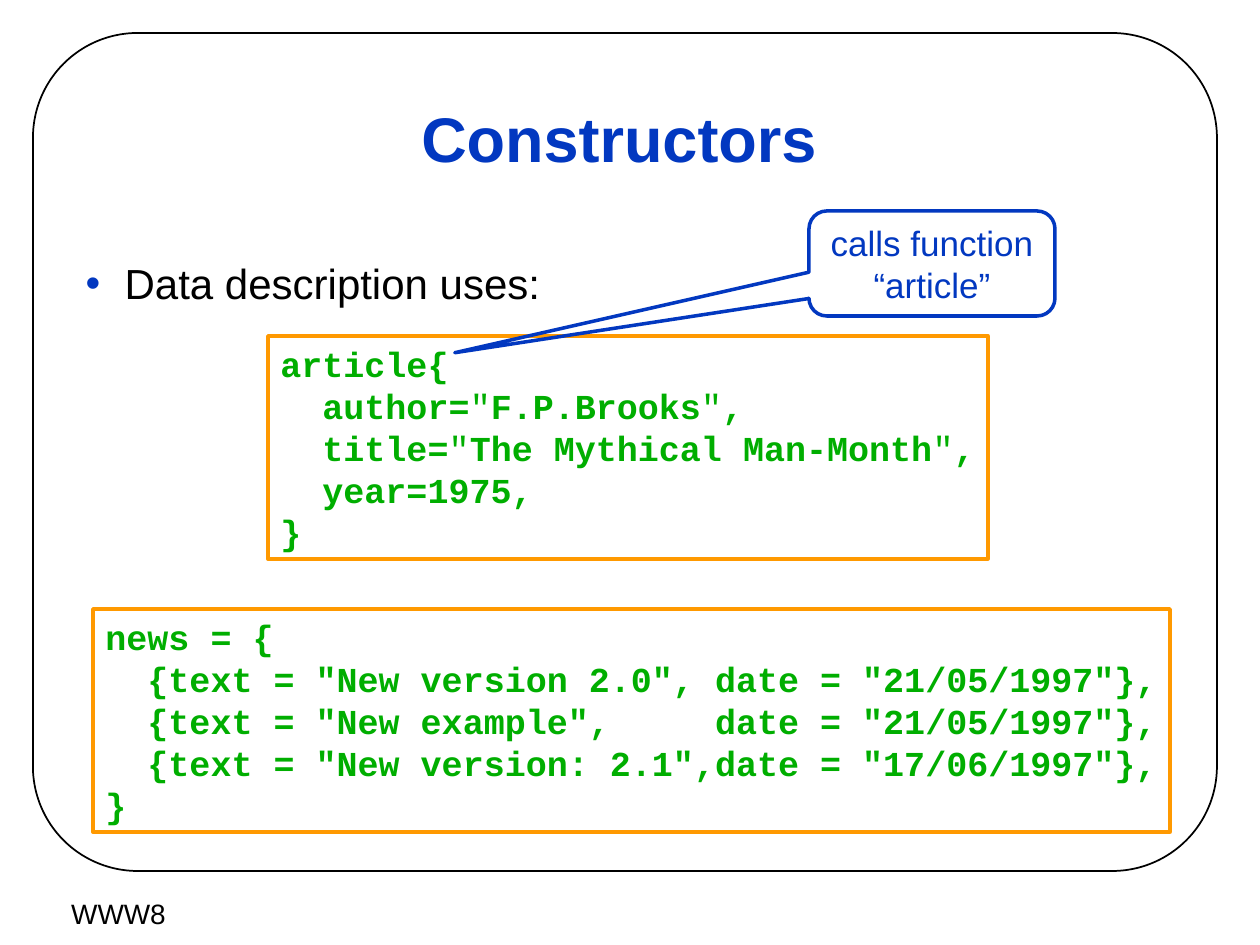
"""Build the "Constructors" slide with two code samples and a callout."""
from itertools import groupby

from lxml import etree
from pptx import Presentation
from pptx import util as u
from pptx.dml.color import RGBColor
from pptx.enum import shapes, text
from pptx.oxml.ns import qn

BLUE, ORANGE, GREEN, BLACK = "0238C0", "FF9900", "00AE00", "000000"
SCALE = 914400 / 126
SHAPE, ALIGN, ANCHOR = shapes.MSO_SHAPE, text.PP_ALIGN, text.MSO_ANCHOR

TITLE = "Constructors"
BULLET = "Data description uses:"
FOOTER = "WWW8"
CALLOUT = ["calls function", "“article”"]
ARTICLE_CODE = [
    'article{',
    '  author="F.P.Brooks",',
    '  title="The Mythical Man-Month",',
    '  year=1975,',
    '}',
]
NEWS_CODE = [
    'news = {',
    '  {text = "New version 2.0", date = "21/05/1997"},',
    '  {text = "New example",     date = "21/05/1997"},',
    '  {text = "New version: 2.1",date = "17/06/1997"},',
    '}',
]


def px(value):
    return u.Emu(round(value * SCALE))


def color(value):
    return RGBColor.from_string(value)


def place(item, left, top, width, height):
    item.left, item.top, item.width, item.height = map(px, (left, top, width, height))


def write(item, lines, size, ink, face="Arial", bold=False, align=ALIGN.LEFT,
          anchor=ANCHOR.TOP, wrap=False, spacing=None, light_quotes=False):
    frame = item.text_frame
    frame.auto_size = text.MSO_AUTO_SIZE.NONE
    frame.word_wrap = wrap
    frame.vertical_anchor = anchor
    for index, line in enumerate(lines):
        para = frame.add_paragraph() if index else frame.paragraphs[0]
        para.alignment = align
        para.space_before = u.Pt(0)
        para.line_spacing = spacing
        for light, letters in groupby(line, lambda letter: light_quotes and letter == '"'):
            span = para.add_run()
            span.text = "".join(letters)
            span.font.name, span.font.size = face, u.Pt(size)
            span.font.bold = bold and not light
            span.font.color.rgb = color(ink)


def outline(page, kind, box, ink, weight, adjustments=()):
    shape = page.shapes.add_shape(kind, *map(px, box))
    shape.shadow.inherit = False
    shape.fill.background()
    shape.line.color.rgb = color(ink)
    shape.line.width = u.Pt(weight)
    for index, value in enumerate(adjustments):
        shape.adjustments[index] = value
    return shape


def add_bullet(para, ink, indent):
    props = para._p.get_or_add_pPr()
    props.set("marL", str(px(indent)))
    props.set("indent", str(-px(indent)))
    tint = etree.SubElement(props, qn("a:buClr"))
    etree.SubElement(tint, qn("a:srgbClr"), val=ink)
    etree.SubElement(props, qn("a:buChar"), char="•")


def main():
    deck = Presentation()
    deck.slide_width, deck.slide_height = px(1260), px(945)
    page = deck.slides.add_slide(deck.slide_layouts[1])
    title, body = page.placeholders

    place(title, 73, 63, 1092, 158)
    write(title, [TITLE], 36, BLUE, bold=True, align=ALIGN.CENTER,
          anchor=ANCHOR.MIDDLE, wrap=True, spacing=0.9)

    place(body, 73, 257, 1092, 599)
    write(body, [BULLET], 24, BLACK, wrap=True, spacing=0.9)
    add_bullet(body.text_frame.paragraphs[0], BLUE, 39)

    frame = outline(page, SHAPE.ROUNDED_RECTANGLE, (33, 33, 1184, 838), BLACK, 1, [0.125])
    page.shapes._spTree.insert(2, frame._element)

    footer = page.shapes.add_textbox(*map(px, (53, 882, 131, 63)))
    write(footer, [FOOTER], 16, BLACK, align=ALIGN.CENTER, anchor=ANCHOR.MIDDLE)

    for lines, box, light_quotes in (
        (ARTICLE_CODE, (268, 336, 720, 223), True),
        (NEWS_CODE, (93, 609, 1077, 223), False),
    ):
        panel = outline(page, SHAPE.RECTANGLE, box, ORANGE, 2)
        write(panel, lines, 20, GREEN, "Courier New", bold=True, light_quotes=light_quotes)

    callout = outline(page, SHAPE.ROUNDED_RECTANGULAR_CALLOUT, (809, 211, 246, 105),
                      BLUE, 2, [-1.94, 0.85, 0.17])
    write(callout, CALLOUT, 20, BLUE, align=ALIGN.CENTER, anchor=ANCHOR.MIDDLE)

    deck.save("out.pptx")


if __name__ == "__main__":
    main()
